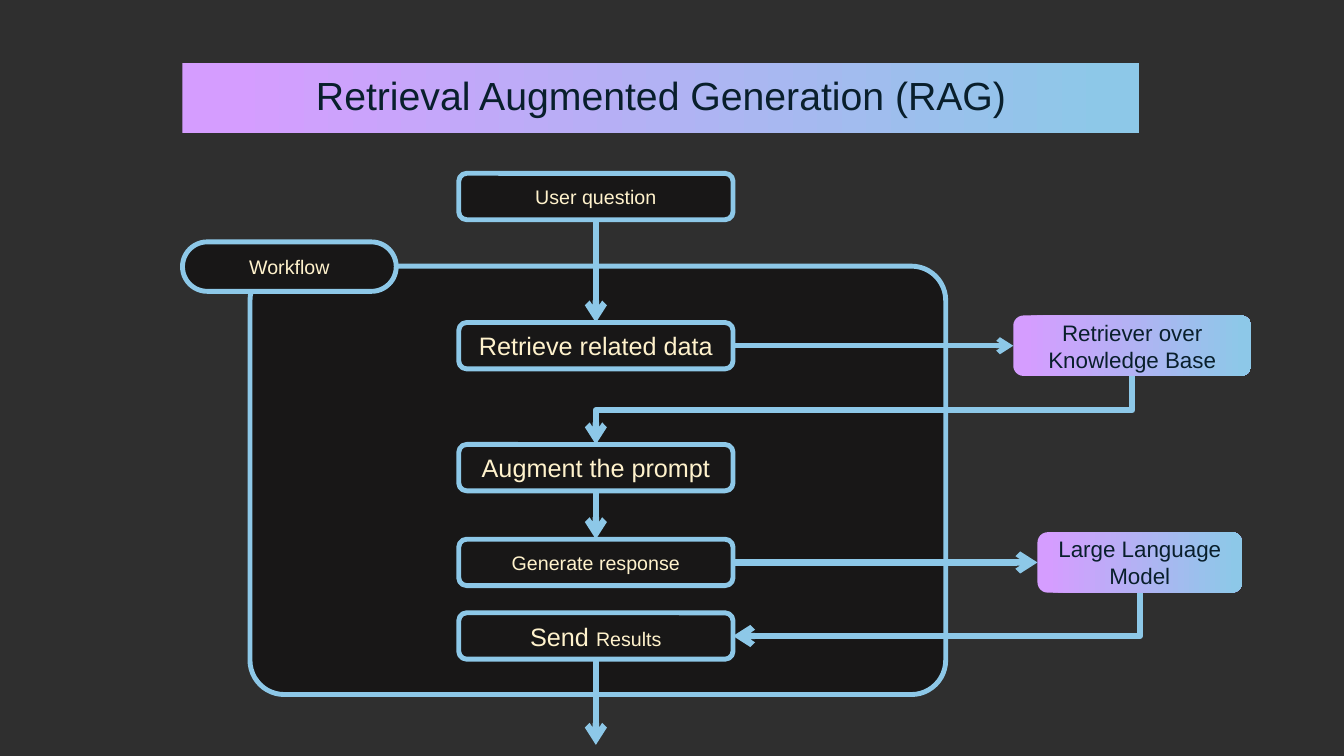
from pptx import Presentation, util as u
from pptx.dml.color import RGBColor
from pptx.enum import shapes as s, text as t
from pptx.oxml.ns import qn
from lxml import etree

theme = dict(
    font="Arial", back="2F2F2F", panel="181717", line="8DC8E8",
    pink="D59DFF", blue="8DC8E8", cream="FFF2CC", navy="091F2C",
    title=28, large=18, side=16, small=14, edge=3.5, flow=4.5,
)
color = {k: RGBColor.from_string(v) for k, v in theme.items()
         if isinstance(v, str) and k != "font"}

deck = Presentation()
deck.slide_width, deck.slide_height = u.Inches(13.33), u.Inches(7.5)
slide = deck.slides.add_slide(deck.slide_layouts[5])
slide.background.fill.solid()
slide.background.fill.fore_color.rgb = color["back"]

# Grid of one-inch cells; the steps share one column
cell = u.Inches(1)
step_x, step_w, step_h = 4.55, 2.72, 0.46
left = 1.81


def style(shape, runs, ink, bright=False, inset=None):
    """Format a box and write its (text, size) runs."""
    if bright:
        shape.fill.gradient()
        shape.fill.gradient_angle = 0
        for stop, (pos, name) in zip(shape.fill.gradient_stops,
                                     [(0.05, "pink"), (0.97, "blue")]):
            stop.position, stop.color.rgb = pos, color[name]
        shape.line.fill.background()
    else:
        shape.fill.solid()
        shape.fill.fore_color.rgb = color["panel"]
        shape.line.color.rgb = color["line"]
        shape.line.width = u.Pt(theme["edge"])
    frame = shape.text_frame
    frame.word_wrap = True
    frame.vertical_anchor = t.MSO_ANCHOR.MIDDLE
    if inset:
        for side, size in zip(("left", "top", "right", "bottom"), inset * 2):
            setattr(frame, "margin_" + side, u.Inches(size))
    para = frame.paragraphs[0]
    para.alignment = t.PP_ALIGN.CENTER
    for words, size in runs:
        run = para.add_run()
        run.text = words
        look = dict(name=theme["font"], size=u.Pt(theme[size]))
        for key, value in look.items():
            setattr(run.font, key, value)
        run.font.color.rgb = color[ink]


# Title band
title = slide.shapes.title
for key, value in dict(left=left, top=0.63, width=9.49, height=0.69).items():
    setattr(title, key, int(value * cell))
style(title, [("Retrieval Augmented Generation (RAG)", "title")], "navy",
      True, (0.2, 0.16))
title.text_frame.paragraphs[0].line_spacing = 0.9

# Boxes: name, place, corner, runs, bright
plan = [
    ("panel", (2.48, 2.64, 6.9, 4.25), 0.08, [], False),
    ("flow", (left, 2.4, 2.12, 0.49), 0.5, [("Workflow", "small")], False),
]
steps = [
    ("ask", 1.72, [("User question", "small")]),
    ("fetch", 3.2, [("Retrieve related data", "large")]),
    ("augment", 4.41, [("Augment the prompt", "large")]),
    ("answer", 5.35, [("Generate response", "small")]),
    ("send", 6.08, [("Send ", "large"), ("Results", "small")]),
]
plan += [(name, (step_x, top, step_w, step_h), 0.17, runs, False)
         for name, top, runs in steps]
plan += [
    ("base", (10.05, 3.13, 2.36, 0.6), 0.17,
     [("Retriever over Knowledge Base", "side")], True),
    ("model", (10.29, 5.28, 2.03, 0.6), 0.17,
     [("Large Language Model", "side")], True),
]
box = {}
for name, place, corner, runs, bright in plan:
    shape = slide.shapes.add_shape(s.MSO_SHAPE.ROUNDED_RECTANGLE,
                                   *(int(n * cell) for n in place))
    shape.shadow.inherit = False
    shape.adjustments[0] = corner
    style(shape, runs, "navy" if bright else "cream", bright,
          (0, 0) if bright else None)
    box[name] = shape

# Arrows: from, side, to, side, width, bend (sides: 0 top, 1 left, 2 bottom)
links = [
    ("ask", 2, "fetch", 0, "flow", None),
    ("fetch", 3, "base", 1, "edge", None),
    ("base", 2, "augment", 0, "flow", "bentConnector3"),
    ("augment", 2, "answer", 0, "flow", None),
    ("answer", 3, "model", 1, "flow", None),
    ("model", 2, "send", 3, "flow", "bentConnector2"),
    ("send", 2, None, None, "flow", None),
]
exit_x, exit_y = int((step_x + step_w / 2) * cell), int(7.39 * cell)
for start, out, goal, into, width, bend in links:
    kind = s.MSO_CONNECTOR.ELBOW if bend else s.MSO_CONNECTOR.STRAIGHT
    link = slide.shapes.add_connector(kind, exit_x, exit_y, exit_x, exit_y)
    link.begin_connect(box[start], out)
    if goal:
        link.end_connect(box[goal], into)
    props = link._element.spPr
    if bend:
        # A quarter turn makes the elbow leave downwards
        wide, high = link.width, link.height
        link.left += (wide - high) // 2
        link.top += (high - wide) // 2
        link.width, link.height = high, wide
        turn = props.find(qn("a:xfrm"))
        turn.set("rot", "5400000")
        turn.attrib.pop("flipH", None)
        props.find(qn("a:prstGeom")).set("prst", bend)
    link.line.color.rgb = color["line"]
    link.line.width = u.Pt(theme[width])
    etree.SubElement(props.find(qn("a:ln")), qn("a:tailEnd"), type="arrow")
    etree.SubElement(props, qn("a:effectLst"))

deck.save("out.pptx")
